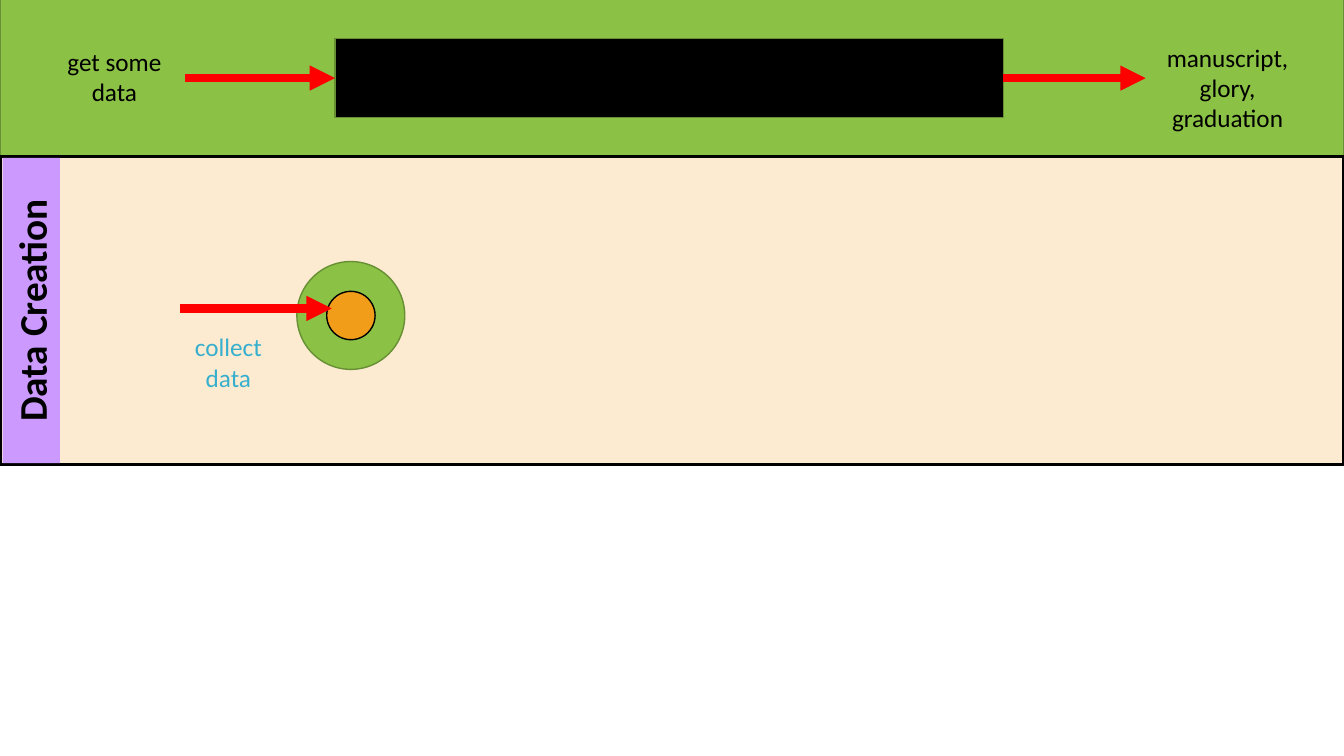
from lxml import etree
from pptx import Presentation
from pptx import util as u
from pptx.dml.color import RGBColor
from pptx.enum import shapes, text
from pptx.oxml.ns import qn

WIDTH, HEIGHT = 13.33, 7.5
GREEN, DARK_GREEN, BLACK, RED = "8BC145", "678F33", "000000", "FF0000"
RECT, OVAL = shapes.MSO_SHAPE.RECTANGLE, shapes.MSO_SHAPE.OVAL


def color(value):
    """Turn a hex string into a colour."""
    return RGBColor.from_string(value)


def inches(*lengths):
    """Turn numbers into lengths in inches."""
    return [u.Inches(length) for length in lengths]


def add_shape(s, kind, box, fill, line=None, weight=1):
    """Add a filled shape with an optional outline."""
    sp = s.shapes.add_shape(kind, *inches(*box))
    sp.shadow.inherit = False
    sp.fill.solid()
    sp.fill.fore_color.rgb = color(fill)
    if line:
        sp.line.color.rgb = color(line)
        sp.line.width = u.Pt(weight)
    else:
        sp.line.fill.background()
    return sp


def add_circle(s, x, y, diameter, fill, line):
    """Add a circle around a centre point."""
    box = (x - diameter / 2, y - diameter / 2, diameter, diameter)
    add_shape(s, OVAL, box, fill, line)


def add_arrow(s, start, end, y):
    """Add a thick red arrow pointing right."""
    arrow = s.shapes.add_connector(shapes.MSO_CONNECTOR.STRAIGHT, *inches(start, y, end, y))
    arrow.line.color.rgb = color(RED)
    arrow.line.width = u.Pt(6)
    etree.SubElement(arrow.line._get_or_add_ln(), qn("a:tailEnd"), type="triangle")
    etree.SubElement(arrow._element.spPr, qn("a:effectLst"))


def write(sp, words, size, fill=BLACK, bold=False):
    """Write one centred, wrapped paragraph into a shape."""
    tf = sp.text_frame
    tf.word_wrap = True
    p = tf.paragraphs[0]
    p.alignment = text.PP_ALIGN.CENTER
    r = p.add_run()
    r.text = words
    r.font.name, r.font.size, r.font.bold = "Calibri", u.Pt(size), bold
    r.font.color.rgb = color(fill)


def add_label(s, box, words, fill=BLACK):
    """Add a text box with a centred label."""
    write(s.shapes.add_textbox(*inches(*box)), words, 18, fill)


def add_overview(s, left, top, width, height):
    """Draw the band that leads from data through a black box to results."""
    add_shape(s, RECT, (left, top, width, height), GREEN, DARK_GREEN)
    middle = top + height / 2
    box_left, box_width, box_height = left + width / 4 - 0.01, 6.63, height / 2
    box_right = box_left + box_width
    add_shape(s, RECT, (box_left, middle - box_height / 2, box_width, box_height), BLACK, DARK_GREEN)
    add_arrow(s, left + 1.83, box_left, middle)
    add_arrow(s, box_right, box_right + 1.41, middle)
    add_label(s, (left + 0.46, top + 0.42, 1.35, 0.71), "get some data")
    add_label(s, (left + 11.47, top + 0.38, 1.41, 1.01), "manuscript, glory, graduation")


def add_creation(s, left, top, width, height):
    """Draw the data creation stage with its upright title and data circle."""
    add_shape(s, RECT, (left, top, width, height), "FCEBD1", BLACK, 2.25)
    length, thickness = height - 0.03, 0.57
    center_x, center_y = left + 0.31, top + height / 2
    title_box = (center_x - length / 2, center_y - thickness / 2, length, thickness)
    title = add_shape(s, RECT, title_box, "CC99FF")
    title.rotation = 270
    write(title, "Data Creation", 28, bold=True)
    circle_x, circle_y = left + 3.48, top + 1.58
    add_circle(s, circle_x, circle_y, 1.07, GREEN, DARK_GREEN)
    add_label(s, (left + 1.59, top + 1.69, 1.35, 0.71), "collect data", "36AFCE")
    add_circle(s, circle_x, circle_y, 0.48, "F19D19", BLACK)
    add_arrow(s, left + 1.79, left + 3.29, top + 1.51)


def main():
    """Build the slide and save it."""
    prs = Presentation()
    prs.slide_width, prs.slide_height = inches(WIDTH, HEIGHT)
    s = prs.slides.add_slide(prs.slide_layouts[6])
    add_overview(s, 0, -0.01, WIDTH, 1.57)
    add_creation(s, 0, 1.55, WIDTH, 3.06)
    prs.save("out.pptx")


if __name__ == "__main__":
    main()
